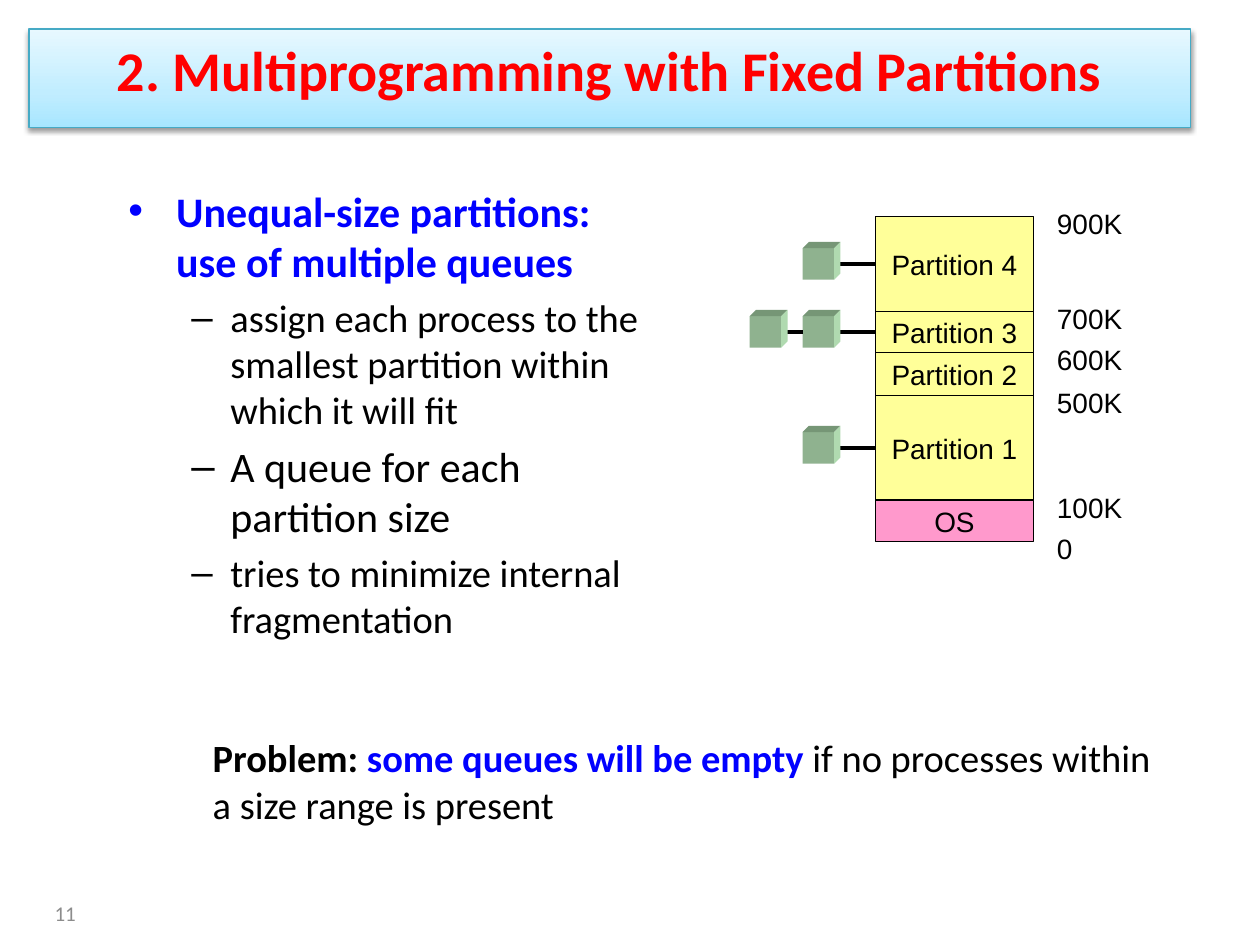
from copy import deepcopy
from lxml.etree import SubElement
from pptx import Presentation
from pptx.dml.color import RGBColor
from pptx.enum.shapes import MSO_CONNECTOR, MSO_SHAPE
from pptx.enum.text import MSO_ANCHOR, PP_ALIGN
from pptx.oxml.ns import qn
from pptx.util import Inches, Pt

COLORS = {
    "black": "000000", "blue": "0000FF", "red": "FF0000", "gray": "8C8C8C",
    "yellow": "FFFF99", "pink": "FF99CC", "title_line": "46AAC5",
    "cube_front": "8FB28F", "cube_top": "769676", "cube_side": "B0DAB0",
}


def rgb(name):
    return RGBColor.from_string(COLORS[name])


def style(p, size, color="black", bold=False, font="Calibri"):
    for r in p.runs:
        r.font.name = font
        r.font.size = Pt(size)
        r.font.bold = bold
        r.font.color.rgb = rgb(color)


prs = Presentation()
prs.slide_width, prs.slide_height = Inches(10), Inches(7.5)
slide = prs.slides.add_slide(prs.slide_layouts[6])
shapes = slide.shapes

# Slide number
sp = shapes.add_textbox(Inches(0), Inches(7), Inches(0.7), Inches(0.5))
tf = sp.text_frame
tf.word_wrap = True
tf.vertical_anchor = MSO_ANCHOR.MIDDLE
tf.text = "11"
tf.paragraphs[0].alignment = PP_ALIGN.RIGHT
style(tf.paragraphs[0], 12, "gray")

# Bulleted text: wording, size, colour, bold, left margin, hanging, bullet
bullets = [
    ("Unequal-size partitions: use of multiple queues", 24, "blue", True, 0.38, 0.38, "•"),
    ("assign each process to the smallest partition within which it will fit",
     22, "black", False, 0.81, 0.31, "–"),
    ("A queue for each partition size", 24, "black", False, 0.81, 0.31, "–"),
    ("tries to minimize internal fragmentation", 22, "black", False, 0.81, 0.31, "–"),
]
sp = shapes.add_textbox(Inches(0.92), Inches(1.42), Inches(4.25), Inches(3.82))
tf = sp.text_frame
tf.word_wrap = True
for i, (text, size, color, bold, margin, hanging, char) in enumerate(bullets):
    p = tf.add_paragraph() if i else tf.paragraphs[0]
    p.text = text
    p.level = 1 if i else 0
    if i:
        p.space_before = Pt(size * 0.2)
    pPr = p._p.get_or_add_pPr()
    pPr.set("marL", str(Inches(margin)))
    pPr.set("indent", str(-Inches(hanging)))
    SubElement(pPr, qn("a:buFont")).set("typeface", "Arial")
    SubElement(pPr, qn("a:buChar")).set("char", char)
    style(p, size, color, bold)

# Title bar with a three-stop gradient and a soft shadow
s = shapes.add_shape(MSO_SHAPE.RECTANGLE, Inches(0.23), Inches(0.23), Inches(9.22), Inches(0.78))
s.shadow.inherit = False
s.fill.gradient()
s.fill.gradient_angle = 90
stop_list = s._element.spPr.find(".//" + qn("a:gsLst"))
stop_list.insert(1, deepcopy(stop_list[0]))
stops = [(0, "A7E6FF"), (0.35, "C1EDFF"), (1, "E7F8FF")]
for stop, (position, color) in zip(s.fill.gradient_stops, stops):
    stop.position = position
    stop.color.rgb = RGBColor.from_string(color)
s.line.color.rgb = rgb("title_line")
s.line.width = Pt(0.75)
shadow = SubElement(s._element.spPr.find(qn("a:effectLst")), qn("a:outerShdw"),
                    blurRad=str(Pt(3.1)), dist=str(Pt(1.6)), dir="5400000", rotWithShape="0")
shadow_color = SubElement(shadow, qn("a:srgbClr"), val=COLORS["black"])
SubElement(shadow_color, qn("a:alpha"), val="38000")
tf = s.text_frame
tf.vertical_anchor = MSO_ANCHOR.TOP
tf.text = "2. Multiprogramming with Fixed Partitions"
tf.paragraphs[0].alignment = PP_ALIGN.CENTER
style(tf.paragraphs[0], 32, "red", True)

# Memory blocks from top to bottom: name, top, height, fill
blocks = [
    ("Partition 4", 1.72, 0.75, "yellow"),
    ("Partition 3", 2.47, 0.33, "yellow"),
    ("Partition 2", 2.80, 0.34, "yellow"),
    ("Partition 1", 3.14, 0.83, "yellow"),
    ("OS", 3.97, 0.33, "pink"),
]
partitions = {}
for name, top, height, color in blocks:
    s = shapes.add_shape(MSO_SHAPE.RECTANGLE, Inches(6.95), Inches(top), Inches(1.25), Inches(height))
    s.shadow.inherit = False
    s.fill.solid()
    s.fill.fore_color.rgb = rgb(color)
    s.line.color.rgb = rgb("black")
    s.line.width = Pt(0.75)
    tf = s.text_frame
    tf.word_wrap = False
    tf.vertical_anchor = MSO_ANCHOR.MIDDLE
    tf.text = name
    tf.paragraphs[0].alignment = PP_ALIGN.CENTER
    style(tf.paragraphs[0], 16, font="Arial")
    partitions[name] = s

# Address labels beside the block boundaries
boundaries = [top for _, top, _, _ in blocks] + [4.3]
for text, y in zip(["900K", "700K", "600K", "500K", "100K", "0"], boundaries):
    sp = shapes.add_textbox(Inches(8.29), Inches(y - 0.08), Inches(0.72), Inches(0.27))
    tf = sp.text_frame
    tf.word_wrap = False
    tf.margin_top = tf.margin_bottom = 0
    tf.text = text
    style(tf.paragraphs[0], 16, font="Arial")

# Process queues: cubes chained to their partition, nearest cube first
CUBE, DEPTH = Inches(0.25), Inches(0.05)
queues = [("Partition 4", [6.37]), ("Partition 3", [6.37, 5.95]), ("Partition 1", [6.37])]
for name, lefts in queues:
    target = partitions[name]
    y = target.top + (target.height - CUBE) // 2
    for left in lefts:
        x = Inches(left)
        cube = shapes.add_shape(MSO_SHAPE.RECTANGLE, x, y, CUBE, CUBE)
        cube.shadow.inherit = False
        cube.fill.solid()
        cube.fill.fore_color.rgb = rgb("cube_front")
        cube.line.fill.background()

        link = shapes.add_connector(MSO_CONNECTOR.STRAIGHT, 0, 0, 0, 0)
        link.begin_connect(cube, 3)
        link.end_connect(target, 1)
        link.line.color.rgb = rgb("black")
        link.line.width = Pt(2.25)
        SubElement(link._element.spPr, qn("a:effectLst"))

        right, bottom = x + CUBE, y + CUBE
        faces = {
            "cube_top": [(x, y), (x + DEPTH, y - DEPTH), (right + DEPTH, y - DEPTH), (right, y)],
            "cube_side": [(right, y), (right + DEPTH, y - DEPTH),
                          (right + DEPTH, bottom - DEPTH), (right, bottom)],
        }
        for color, points in faces.items():
            builder = shapes.build_freeform(*points[0])
            builder.add_line_segments(points[1:], close=True)
            face = builder.convert_to_shape()
            face.shadow.inherit = False
            face.fill.solid()
            face.fill.fore_color.rgb = rgb(color)
            face.line.fill.background()
        target = cube

# Problem statement
sp = shapes.add_textbox(Inches(1.09), Inches(5.78), Inches(8.2), Inches(0.84))
tf = sp.text_frame
tf.word_wrap = True
p = tf.paragraphs[0]
p.level = 1
p._p.get_or_add_pPr().set("marL", str(Inches(0.5)))
for text, color, bold in [
    ("Problem: ", "black", True),
    ("some queues will be empty ", "blue", True),
    ("if no processes within a size range is present", "black", False),
]:
    r = p.add_run()
    r.text = text
    r.font.name = "Calibri"
    r.font.size = Pt(22)
    r.font.bold = bold
    r.font.color.rgb = rgb(color)

prs.save("out.pptx")
